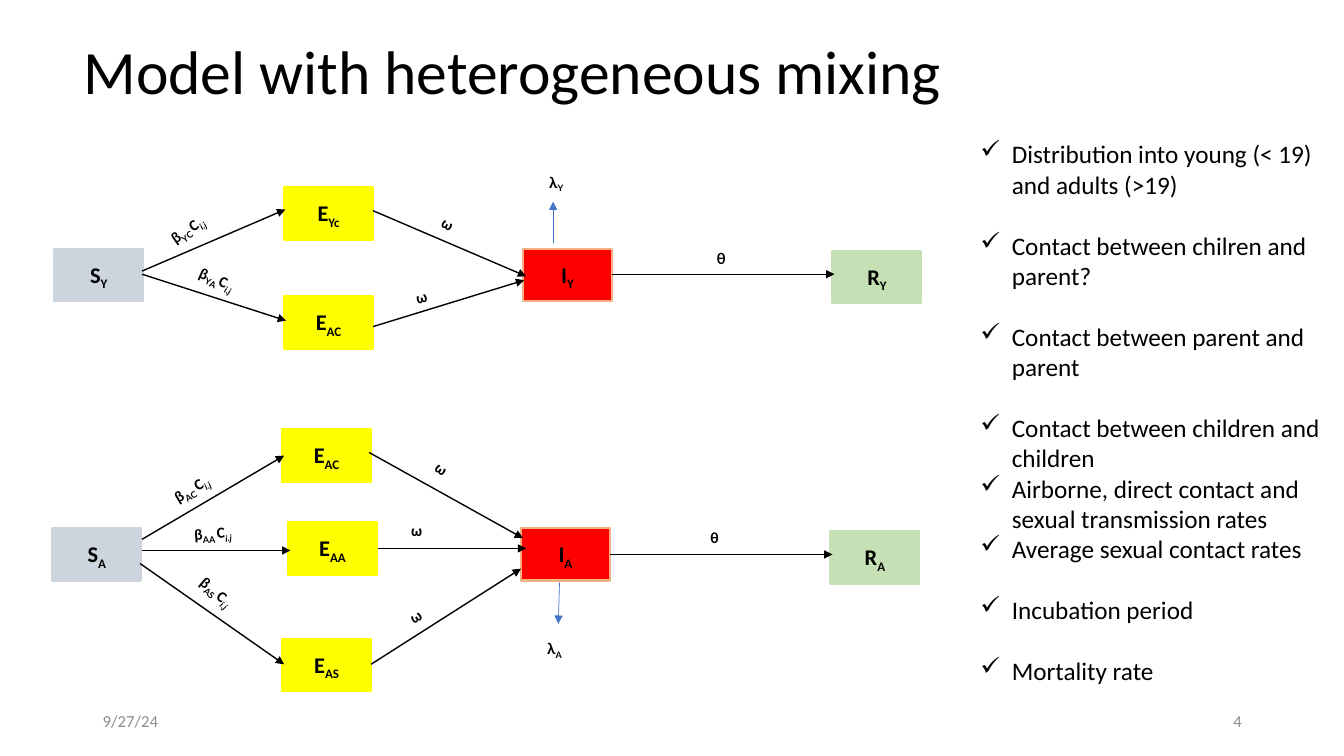
from lxml import etree
from pptx import Presentation
from pptx.dml.color import RGBColor
from pptx.enum.shapes import MSO_CONNECTOR, MSO_SHAPE
from pptx.enum.text import MSO_ANCHOR, MSO_AUTO_SIZE, PP_ALIGN
from pptx.oxml.ns import qn
from pptx.util import Cm, Pt

RECTANGLE = MSO_SHAPE.RECTANGLE
STRAIGHT = MSO_CONNECTOR.STRAIGHT
TOP, MIDDLE = MSO_ANCHOR.TOP, MSO_ANCHOR.MIDDLE
LEFT, CENTER, RIGHT = PP_ALIGN.LEFT, PP_ALIGN.CENTER, PP_ALIGN.RIGHT
NO_FIT = MSO_AUTO_SIZE.NONE

COLOURS = {
    "ink": "000000", "paper": "FFFFFF", "footer": "8C8C8C", "removal": "4472C4",
    "S": "CCD4DE", "E": "FFFF00", "I": "FF0000", "R": "C5E0B4", "I edge": "F4B183",
}
TITLE = "Model with heterogeneous mixing"

COMPARTMENTS = [
    ("S", "Y", 1.37, 6.27), ("E", "Yc", 7.16, 4.72), ("E", "AC", 7.16, 7.47),
    ("I", "Y", 13.18, 6.27), ("R", "Y", 20.98, 6.32),
    ("S", "A", 1.32, 13.31), ("E", "AC", 7.11, 10.82), ("E", "AA", 7.26, 13.16),
    ("E", "AS", 7.11, 16.1), ("I", "A", 13.13, 13.31), ("R", "A", 20.93, 13.39),
]
COMPARTMENT_SIZE = (2.24, 1.32)

FLOWS = [
    (3.58, 6.83, 7.19, 5.28), (3.58, 6.91, 7.21, 8.08),
    (9.4, 5.31, 13.26, 6.96), (9.4, 8.23, 13.21, 7.06),
    (15.42, 6.91, 21.03, 6.91),
    (3.58, 13.59, 7.16, 11.48), (3.58, 13.87, 7.32, 13.87),
    (3.53, 14.2, 7.16, 16.74), (9.3, 11.4, 13.18, 13.56),
    (9.53, 13.82, 13.26, 13.82), (9.35, 16.74, 13.13, 14.33),
    (15.37, 13.97, 20.98, 13.97),
]
REMOVALS = [(13.94, 6.12, 13.94, 5.08), (14.1, 14.68, 14.07, 15.72)]

CONTACT_RATES = [
    ("AC ", 4.06, 11.53, 2.87, 1.02, 329), ("AA ", 4.65, 13, 2.46, 1.02, 356),
    ("AS ", 4.57, 14.94, 2.77, 0.86, 40.1), ("YA ", 4.67, 6.83, 2.46, 1.02, 23.7),
    ("YC ", 3.89, 4.85, 3.2, 0.97, 324.7),
]
PLAIN_RATES = [
    ("ω", "Calibri", 10.57, 11.73, 34.7), ("ω", "Calibri", 10.11, 12.98, 0),
    ("ω", "Calibri", 10.06, 14.83, 329), ("ω", "Calibri", 10.24, 6.93, 344.5),
    ("ω", "Calibri", 10.77, 5.51, 29), ("θ", "Calibri", 17.65, 13.16, 0),
    ("θ", "Lato", 17.81, 6.12, 0),
]
PLAIN_RATE_SIZE = (1.91, 1.02)
DEATH_RATES = [("Y", 13.59, 4.19, 1.6, 0.94), ("A", 13.54, 15.95, 1.6, 1.22)]

LINE_GAP = 22
ASSUMPTIONS = [
    ("Distribution into young (< 19) and adults (>19)", LINE_GAP),
    ("Contact between chilren and parent?", LINE_GAP),
    ("Contact between parent and parent", LINE_GAP),
    ("Contact between children and children", 0),
    ("Airborne, direct contact and sexual transmission rates", 0),
    ("Average sexual contact rates", LINE_GAP),
    ("Incubation period", LINE_GAP),
    ("Mortality rate", 0),
]
FOOTERS = [("9/27/24", 2.34, LEFT), ("4", 23.93, RIGHT)]


def rgb(name):
    return RGBColor.from_string(COLOURS[name])


def style(font, size, face="Calibri", colour="ink", bold=False):
    font.size, font.name, font.bold = Pt(size), face, bold
    font.color.rgb = rgb(colour)


def add_box(slide, box, fill, parts, size, rotation=0, edge=None,
            anchor=TOP, align=LEFT):
    shape = slide.shapes.add_shape(RECTANGLE, *map(Cm, box))
    shape.shadow.inherit = False
    shape.rotation = rotation
    shape.fill.solid()
    shape.fill.fore_color.rgb = rgb(fill)
    if edge:
        shape.line.color.rgb = rgb(edge)
        shape.line.width = Pt(1.5)
    else:
        shape.line.fill.background()
    frame = shape.text_frame
    frame.word_wrap = True
    frame.vertical_anchor = anchor
    paragraph = frame.paragraphs[0]
    paragraph.alignment = align
    paragraph.line_spacing = 1.07
    paragraph.space_after = Pt(8)
    for text, face, lowered, italic in parts:
        run = paragraph.add_run()
        run.text = text
        style(run.font, size, face, bold=True)
        run.font.italic = italic
        if lowered:
            run.font._element.set("baseline", "-25000")


def add_arrow(slide, ends, colour, width):
    arrow = slide.shapes.add_connector(STRAIGHT, *map(Cm, ends))
    arrow.line.color.rgb = rgb(colour)
    arrow.line.width = Pt(width)
    etree.SubElement(arrow.line._get_or_add_ln(), qn("a:tailEnd"), type="triangle")
    etree.SubElement(arrow._element.spPr, qn("a:effectLst"))


def add_text_frame(slide, box, anchor):
    frame = slide.shapes.add_textbox(*map(Cm, box)).text_frame
    frame.word_wrap = True
    frame.vertical_anchor = anchor
    return frame


def add_assumptions(slide):
    frame = add_text_frame(slide, (24.46, 3.37, 9.27, 14.1), TOP)
    frame.text = "\n".join(text for text, gap in ASSUMPTIONS)
    indent = Cm(0.79)
    for paragraph, (text, gap) in zip(frame.paragraphs, ASSUMPTIONS):
        paragraph.space_after = Pt(gap)
        style(paragraph.runs[0].font, 18)
        properties = paragraph._p.get_or_add_pPr()
        properties.set("marL", str(indent))
        properties.set("indent", str(-indent))
        etree.SubElement(properties, qn("a:buChar"), char="✓")


def main():
    deck = Presentation()
    deck.slide_width, deck.slide_height = Cm(33.87), Cm(19.05)
    slide = deck.slides.add_slide(deck.slide_layouts[5])

    title = slide.shapes.title
    title.left, title.top, title.width, title.height = map(Cm, (1.85, 0.03, 29.21, 3.68))
    frame = title.text_frame
    frame.text = TITLE
    frame.auto_size = NO_FIT
    frame.vertical_anchor = MIDDLE
    frame.paragraphs[0].alignment = LEFT
    frame.paragraphs[0].line_spacing = 0.9
    style(frame.paragraphs[0].runs[0].font, 44)

    for groups, *box, rotation in CONTACT_RATES:
        parts = [("β", "Calibri", False, False), (groups, "Lato", True, False),
                 ("C", "Calibri", False, False), ("i.j", "Lato", True, True)]
        add_box(slide, box, "paper", parts, 11, rotation)
    for symbol, face, left, top, rotation in PLAIN_RATES:
        add_box(slide, (left, top, *PLAIN_RATE_SIZE), "paper",
                [(symbol, face, False, False)], 11, rotation)
    for group, *box in DEATH_RATES:
        add_box(slide, box, "paper",
                [("λ", "Lato", False, False), (group, "Lato", True, False)], 11)
    for state, group, left, top in COMPARTMENTS:
        add_box(slide, (left, top, *COMPARTMENT_SIZE), state,
                [(state, "Calibri", False, False), (group, "Calibri", True, False)],
                16, edge="I edge" if state == "I" else state,
                anchor=MIDDLE, align=CENTER)

    for ends in FLOWS:
        add_arrow(slide, ends, "ink", 1)
    for ends in REMOVALS:
        add_arrow(slide, ends, "removal", 0.5)

    add_assumptions(slide)
    for text, left, align in FOOTERS:
        frame = add_text_frame(slide, (left, 17.65, 7.62, 1.02), MIDDLE)
        frame.text = text
        frame.paragraphs[0].alignment = align
        style(frame.paragraphs[0].runs[0].font, 12, colour="footer")

    deck.save("out.pptx")


if __name__ == "__main__":
    main()
